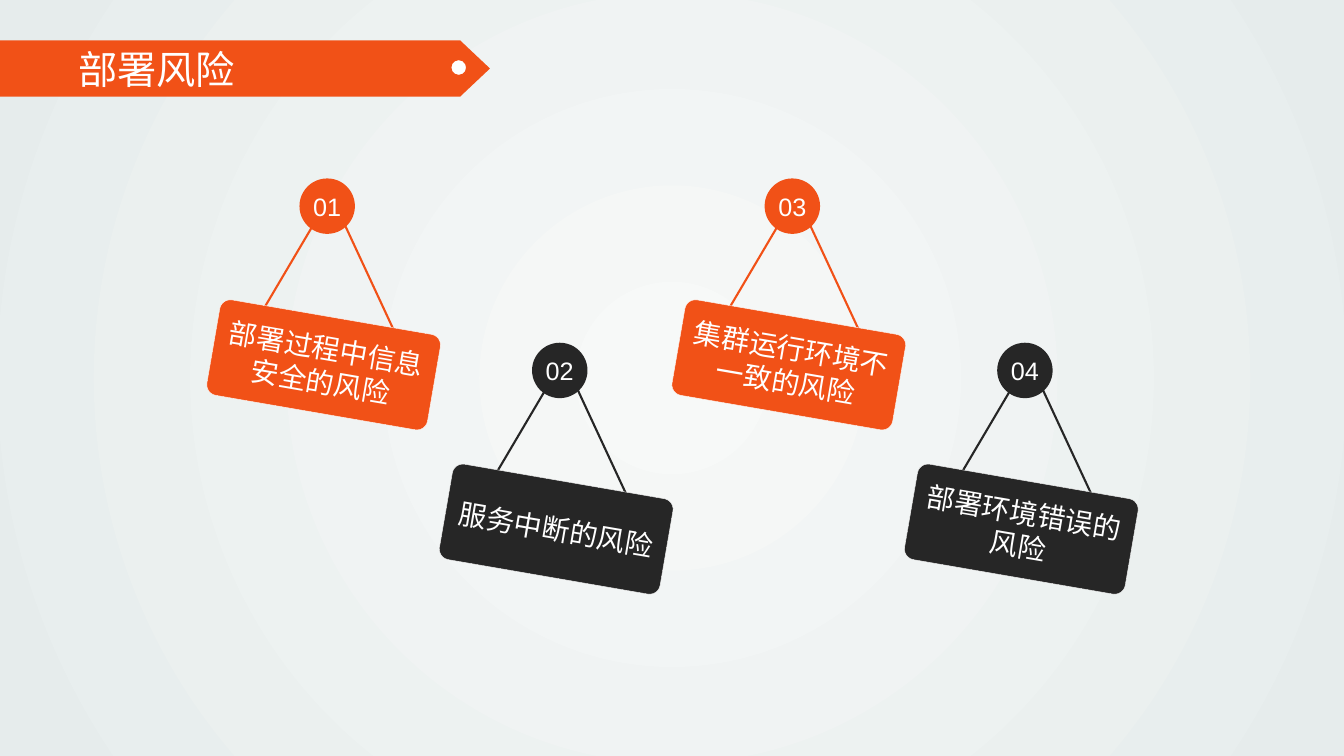
from dataclasses import dataclass

from lxml.etree import SubElement
from pptx import Presentation
from pptx.dml.color import RGBColor
from pptx.enum.shapes import MSO_SHAPE
from pptx.enum.text import MSO_ANCHOR, PP_ALIGN
from pptx.oxml.ns import qn
from pptx.util import Inches, Pt


@dataclass(frozen=True)
class Theme:
    """Colours, fonts and type sizes of the deck."""
    orange: str = "F15117"
    dark: str = "262626"
    white: str = "FFFFFF"
    glow: str = "F7F9F8"
    edge: str = "E6ECEC"
    latin: str = "Arial"
    chinese: str = "Noto Sans CJK SC"
    title_size: int = 28
    sign_size: int = 20
    number_size: int = 18


THEME = Theme()
RISKS = ["部署过程中信息安全的风险", "服务中断的风险", "集群运行环境不一致的风险", "部署环境错误的风险"]
FIRST_LEFT, LAST_LEFT = 2.1, 9.02
UPPER_TOP, LOWER_TOP = 1.77, 3.4


def paint_background(page):
    """Fill the page with a gradient that spreads from its centre."""
    fill = page.background.fill
    fill.gradient()
    for stop, color, position in zip(fill.gradient_stops, (THEME.glow, THEME.edge), (0, 1)):
        stop.color.rgb = RGBColor.from_string(color)
        stop.position = position
    gradient = page.element.find(".//" + qn("a:gradFill"))
    gradient.remove(gradient.find(qn("a:lin")))
    circle = SubElement(gradient, qn("a:path"), path="circle")
    SubElement(circle, qn("a:fillToRect"), l="50000", t="50000", r="50000", b="50000")


def add_filled(shapes, kind, box, color, line_color=None, line_width=1):
    """Add a preset shape with a plain fill and an optional outline."""
    shape = shapes.add_shape(kind, *map(Inches, box))
    shape.shadow.inherit = False
    shape.fill.solid()
    shape.fill.fore_color.rgb = RGBColor.from_string(color)
    if line_color:
        shape.line.color.rgb = RGBColor.from_string(line_color)
        shape.line.width = Pt(line_width)
    else:
        shape.line.fill.background()
    return shape


def format_text(frame, size, latin):
    """Set the size, colour and fonts of the frame's text."""
    for para in frame.paragraphs:
        for span in para.runs:
            font = span.font
            font.size = Pt(size)
            font.name = latin
            font.color.rgb = RGBColor.from_string(THEME.white)
            SubElement(span._r.get_or_add_rPr(), qn("a:ea"), typeface=THEME.chinese)


def center_text(shape, text, size):
    """Write text in the middle of a shape without margins."""
    frame = shape.text_frame
    frame.text = text
    frame.word_wrap = True
    frame.vertical_anchor = MSO_ANCHOR.MIDDLE
    frame.margin_left = frame.margin_right = frame.margin_top = frame.margin_bottom = 0
    frame.paragraphs[0].alignment = PP_ALIGN.CENTER
    format_text(frame, size, THEME.latin)


def add_title_tag(page, box, title):
    """Draw the pointed title tag with its hole."""
    left, top, width, height = box
    tag = add_filled(page.shapes, MSO_SHAPE.PENTAGON, box, THEME.orange)
    tag.adjustments[0] = 0.53
    label = page.shapes.add_textbox(Inches(left + 0.68), Inches(top), Inches(1.77), Inches(height))
    label.text_frame.text = title
    label.text_frame.word_wrap = False
    format_text(label.text_frame, THEME.title_size, THEME.chinese)
    hole = (left + width - 0.39, top + 0.19, 0.16, 0.16)
    add_filled(page.shapes, MSO_SHAPE.OVAL, hole, THEME.white, THEME.orange)


def add_hanging_sign(page, left, top, number, text, color):
    """Draw a tilted sign that hangs by a string from a numbered peg."""
    shapes = page.shapes.add_group_shape().shapes
    start, *bends = [(Inches(left + x), Inches(top + y))
                     for x, y in ((0.5, 1.32), (1.12, 0.27), (1.25, 0.31), (1.91, 1.73))]
    builder = shapes.build_freeform(*start)
    builder.add_line_segments(bends, close=False)
    string = builder.convert_to_shape()
    string.shadow.inherit = False
    string.fill.background()
    string.line.color.rgb = RGBColor.from_string(color)
    string.line.width = Pt(1.5)

    board = add_filled(shapes, MSO_SHAPE.ROUNDED_RECTANGLE, (left, top + 1.37, 2.22, 0.96),
                       color, THEME.white, 0.25)
    board.adjustments[0] = 0.11
    board.rotation = 9.8
    center_text(board, text, THEME.sign_size)

    peg = add_filled(shapes, MSO_SHAPE.OVAL, (left + 0.87, top, 0.55, 0.55), color)
    center_text(peg, f"{number:02d}", THEME.number_size)


def build_risk_page(deck):
    """Add the page with the title tag and the four risk signs."""
    page = deck.slides.add_slide(deck.slide_layouts[6])
    paint_background(page)
    add_title_tag(page, (0, 0.4, 4.86, 0.56), "部署风险")
    step = (LAST_LEFT - FIRST_LEFT) / (len(RISKS) - 1)
    styles = ((UPPER_TOP, THEME.orange), (LOWER_TOP, THEME.dark))
    for index, risk in enumerate(RISKS):
        top, color = styles[index % 2]
        add_hanging_sign(page, FIRST_LEFT + index * step, top, index + 1, risk, color)


deck = Presentation()
deck.slide_width, deck.slide_height = Inches(13.33), Inches(7.5)
build_risk_page(deck)
deck.save("out.pptx")
